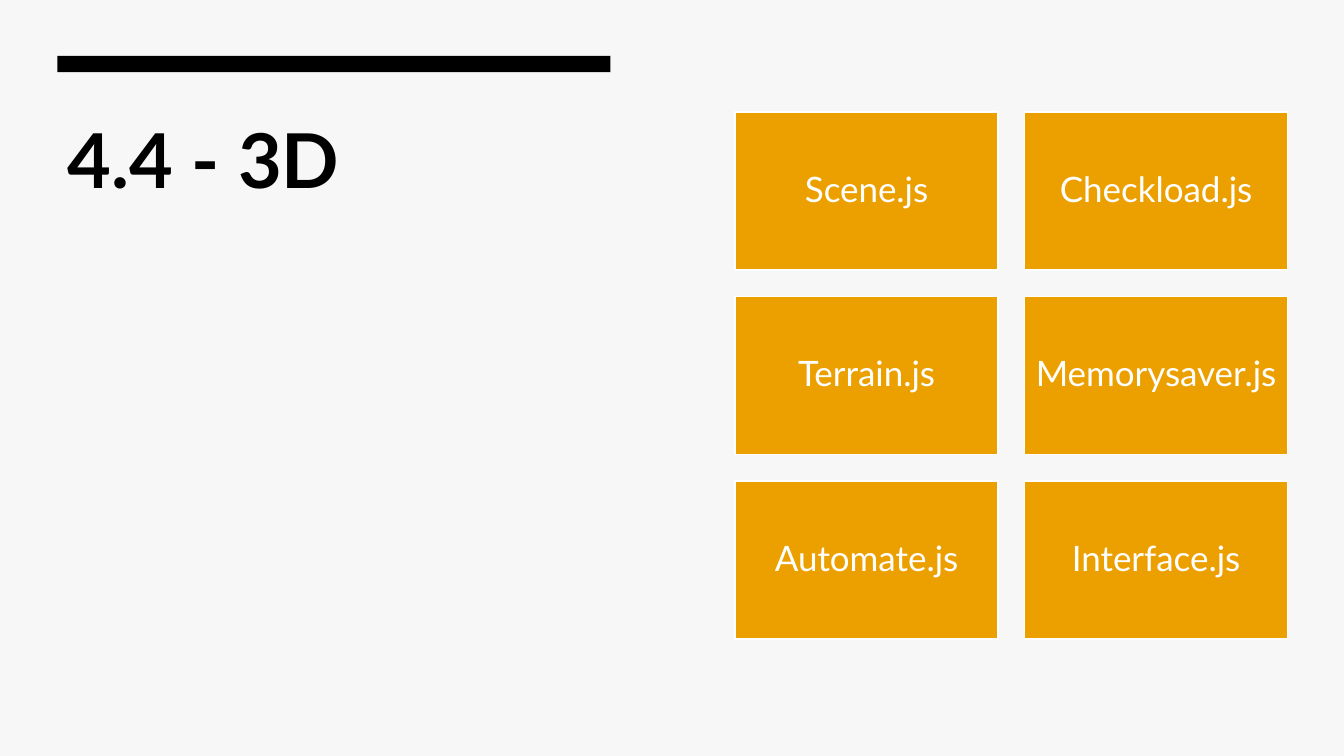
"""Builds the "4.4 - 3D" slide: a title under a black bar and a grid of script files."""
from pptx import Presentation
from pptx.dml.color import RGBColor
from pptx.enum.shapes import MSO_SHAPE
from pptx.enum.text import MSO_ANCHOR, MSO_AUTO_SIZE, PP_ALIGN
from pptx.util import Pt

RECTANGLE = MSO_SHAPE.RECTANGLE
TOP, MIDDLE = MSO_ANCHOR.TOP, MSO_ANCHOR.MIDDLE
LEFT, CENTER = PP_ALIGN.LEFT, PP_ALIGN.CENTER
NO_AUTOFIT = MSO_AUTO_SIZE.NONE

THEME = {
    "font": "Lato",
    "title_size": Pt(54),
    "tile_size": Pt(25),
    "background": RGBColor.from_string("F7F7F7"),
    "black": RGBColor.from_string("000000"),
    "white": RGBColor.from_string("FFFFFF"),
    "orange": RGBColor.from_string("EBA000"),
}


def apply_format(target, values):
    """Set every attribute named in values on the target."""
    for attribute, value in values.items():
        setattr(target, attribute, value)


def add_rectangle(slide, left, top, width, height, color):
    """Add a flat filled rectangle measured in points."""
    rectangle = slide.shapes.add_shape(RECTANGLE, Pt(left), Pt(top), Pt(width), Pt(height))
    rectangle.shadow.inherit = False
    rectangle.fill.solid()
    rectangle.fill.fore_color.rgb = color
    return rectangle


presentation = Presentation()
apply_format(presentation, {"slide_width": Pt(960), "slide_height": Pt(540)})
slide = presentation.slides.add_slide(presentation.slide_layouts[5])
slide.background.fill.solid()
slide.background.fill.fore_color.rgb = THEME["background"]

accent_bar = add_rectangle(slide, 41, 40, 395, 11.5, THEME["black"])
accent_bar.line.fill.background()

heading = slide.shapes.title
apply_format(heading, {"left": Pt(41), "top": Pt(77), "width": Pt(395), "height": Pt(384)})
apply_format(heading.text_frame, {
    "text": "4.4 - 3D", "word_wrap": True, "auto_size": NO_AUTOFIT, "vertical_anchor": TOP,
})
heading_line = heading.text_frame.paragraphs[0]
heading_line.alignment = LEFT
apply_format(heading_line.font, {"name": THEME["font"], "size": THEME["title_size"], "bold": True})
heading_line.font.color.rgb = THEME["black"]

file_names = [
    "Scene.js", "Checkload.js",
    "Terrain.js", "Memorysaver.js",
    "Automate.js", "Interface.js",
]
grid_left, grid_top = 525, 80
tile_width, tile_height, gap = 188, 113, 18.8
columns = 2

for index, file_name in enumerate(file_names):
    row, column = divmod(index, columns)
    file_tile = add_rectangle(
        slide,
        grid_left + column * (tile_width + gap),
        grid_top + row * (tile_height + gap),
        tile_width, tile_height, THEME["orange"],
    )
    file_tile.line.color.rgb = THEME["white"]
    file_tile.line.width = Pt(1)
    apply_format(file_tile.text_frame, {
        "text": file_name, "word_wrap": True, "vertical_anchor": MIDDLE,
        "margin_left": Pt(7), "margin_right": Pt(7),
        "margin_top": Pt(7), "margin_bottom": Pt(7),
    })
    file_label = file_tile.text_frame.paragraphs[0]
    apply_format(file_label, {"alignment": CENTER, "line_spacing": 0.9})
    apply_format(file_label.font, {"name": THEME["font"], "size": THEME["tile_size"]})
    file_label.font.color.rgb = THEME["white"]

presentation.save("out.pptx")
